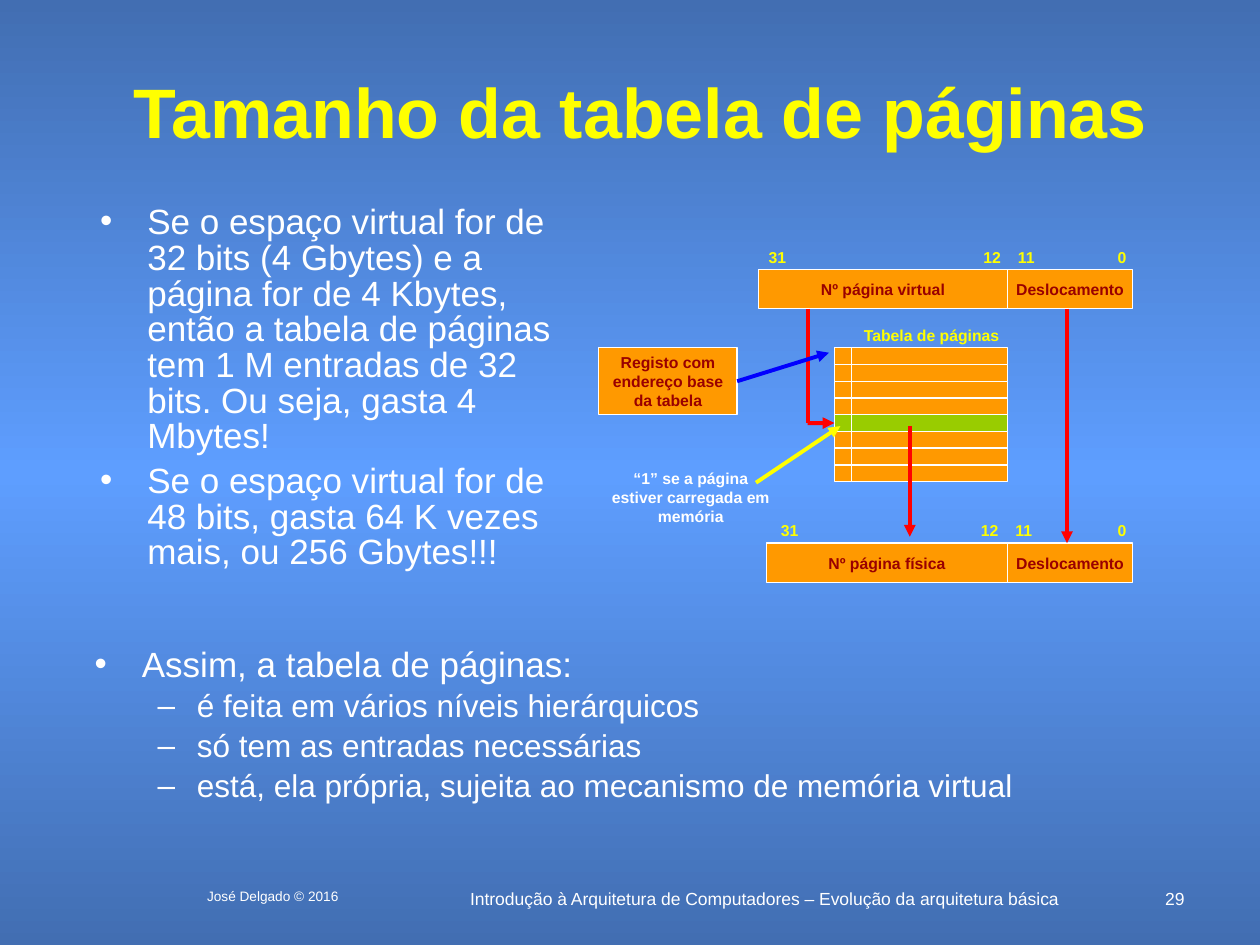
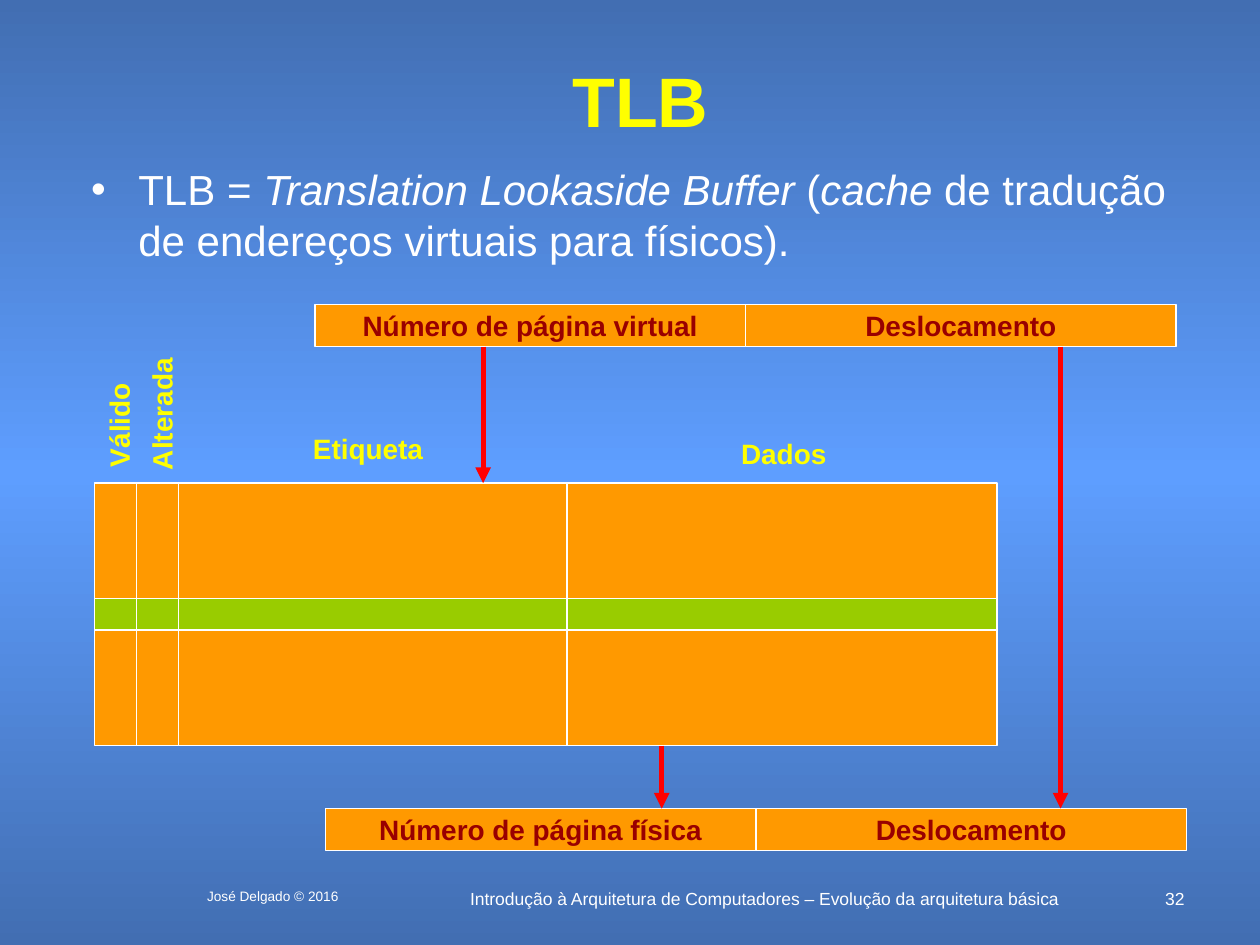
"""Build two slides on page tables and the TLB of a virtual memory system."""
from copy import deepcopy

from lxml import etree
from pptx import Presentation
from pptx.dml.color import RGBColor
from pptx.enum import shapes, text
from pptx.oxml import ns
from pptx.util import Cm, Pt

WHITE = RGBColor(0xFF, 0xFF, 0xFF)
YELLOW = RGBColor(0xFF, 0xFF, 0x00)
ORANGE = RGBColor(0xFF, 0x99, 0x00)
GREEN = RGBColor(0x99, 0xCC, 0x00)
RED = RGBColor(0xFF, 0x00, 0x00)
BLUE = RGBColor(0x00, 0x00, 0xFF)
DARK_RED = RGBColor(0x99, 0x00, 0x00)
EDGE_BLUE = RGBColor(0x42, 0x6E, 0xB2)
MIDDLE_BLUE = RGBColor(0x5E, 0x9E, 0xFF)
FONT = "Arial"
CENTER = text.PP_ALIGN.CENTER
COURSE = "Introdução à Arquitetura de Computadores – Evolução da arquitetura básica"
AUTHOR = "José Delgado © 2016"


def set_background(master):
    fill = master.background.fill
    fill.gradient()
    fill.gradient_angle = 270
    for stop, position in zip(fill.gradient_stops, (0, 1)):
        stop.color.rgb = EDGE_BLUE
        stop.position = position
    stop_list = master.element.find(".//" + ns.qn("a:gsLst"))
    stop_list.insert(1, deepcopy(stop_list[0]))
    middle = fill.gradient_stops[1]
    middle.color.rgb = MIDDLE_BLUE
    middle.position = 0.5


def format_paragraph(paragraph, size, color, bold=False, align=None):
    paragraph.alignment = align
    font = paragraph.font
    font.name, font.size, font.bold = FONT, Pt(size), bold
    font.color.rgb = color


def add_label(slide, content, left, top, width, height, size=9, color=YELLOW,
              bold=True, align=CENTER, wrap=False, rotation=0):
    box = slide.shapes.add_textbox(Cm(left), Cm(top), Cm(width), Cm(height))
    box.rotation = rotation
    box.text_frame.word_wrap = wrap
    paragraph = box.text_frame.paragraphs[0]
    paragraph.text = content
    format_paragraph(paragraph, size, color, bold, align)


def add_box(slide, left, top, width, height, content="", size=9, fill=ORANGE, wrap=False):
    box = slide.shapes.add_shape(shapes.MSO_SHAPE.RECTANGLE,
                                 Cm(left), Cm(top), Cm(width), Cm(height))
    box.shadow.inherit = False
    box.fill.solid()
    box.fill.fore_color.rgb = fill
    box.line.color.rgb = WHITE
    box.line.width = Pt(0.75)
    if content:
        frame = box.text_frame
        frame.word_wrap = wrap
        frame.vertical_anchor = text.MSO_ANCHOR.MIDDLE
        frame.text = content
        format_paragraph(frame.paragraphs[0], size, DARK_RED, True, CENTER)
    return box


def add_line(slide, start, end, color=RED, width=2.25, arrow=True):
    line = slide.shapes.add_connector(shapes.MSO_CONNECTOR.STRAIGHT,
                                      *(Cm(value) for value in start + end))
    line.line.color.rgb = color
    line.line.width = Pt(width)
    if arrow:
        etree.SubElement(line.line._get_or_add_ln(), ns.qn("a:tailEnd"), type="triangle")
    etree.SubElement(line._element.spPr, ns.qn("a:effectLst"))
    return line


def add_address(slide, left, top, page_width, offset_width, height, page, size):
    add_box(slide, left, top, page_width, height, page, size)
    add_box(slide, left + page_width, top, offset_width, height, "Deslocamento", size)


def add_bullet(paragraph, symbol, margin, hanging):
    properties = paragraph._p.get_or_add_pPr()
    properties.set("marL", str(Cm(margin)))
    properties.set("indent", str(-Cm(hanging)))
    color = etree.SubElement(properties, ns.qn("a:buClr"))
    etree.SubElement(color, ns.qn("a:srgbClr"), val=str(WHITE))
    etree.SubElement(properties, ns.qn("a:buFont"), typeface=FONT)
    etree.SubElement(properties, ns.qn("a:buChar"), char=symbol)


def add_bullets(slide, left, top, width, height, items, sizes=(20, 18), spacing=0.85):
    """Add a bulleted text box from (level, [(words, italic), ...]) items."""
    box = slide.shapes.add_textbox(Cm(left), Cm(top), Cm(width), Cm(height))
    frame = box.text_frame
    frame.word_wrap = True
    for index, (level, runs) in enumerate(items):
        paragraph = frame.add_paragraph() if index else frame.paragraphs[0]
        paragraph.level = level
        add_bullet(paragraph, *(("•", 0.95, 0.95), ("–", 2.06, 0.79))[level])
        paragraph.line_spacing = spacing
        if index:
            paragraph.space_before = Pt(sizes[level] / 4)
        format_paragraph(paragraph, sizes[level], WHITE)
        for words, italic in runs:
            run = paragraph.add_run()
            run.text = words
            if italic:
                run.font.italic = True


def add_titled_slide(presentation, title_text, title_top, number):
    slide = presentation.slides.add_slide(presentation.slide_layouts[5])
    title = slide.shapes.title
    title.left, title.top, title.width, title.height = Cm(1.9), Cm(title_top), Cm(22.02), Cm(1.9)
    frame = title.text_frame
    frame.text = title_text
    frame.auto_size = text.MSO_AUTO_SIZE.NONE
    frame.vertical_anchor = text.MSO_ANCHOR.MIDDLE
    format_paragraph(frame.paragraphs[0], 40, YELLOW, True, CENTER)
    footers = (
        (COURSE, 8.46, 13.89, 10, CENTER),
        (number, 23.06, 1.07, 10, text.PP_ALIGN.RIGHT),
        (AUTHOR, 3.38, 4.24, 7.8, CENTER),
    )
    for content, left, width, size, align in footers:
        add_label(slide, content, left, 17.78, width, 0.64, size, WHITE, False, align, wrap=True)
    return slide


def add_page_table(slide, left, top, height, rows, hit_row):
    """Draw the page table and return the flag cell of the row that is hit."""
    flag_width, entry_width = 0.34, 3.15
    row_height = height / rows
    for row in range(rows):
        fill = GREEN if row == hit_row else ORANGE
        row_top = top + row * row_height
        add_box(slide, left + flag_width, row_top, entry_width, row_height, fill=fill)
        flag = add_box(slide, left, row_top, flag_width, row_height, fill=fill)
        if row == hit_row:
            hit_flag = flag
    return hit_flag


def build_page_table_slide(presentation):
    slide = add_titled_slide(presentation, "Tamanho da tabela de páginas", 1.27, "29")
    add_bullets(slide, 1.77, 4.03, 10.16, 10.06, [
        (0, [("Se o espaço virtual for de 32 bits (4 Gbytes) e a página for de 4 Kbytes, "
              "então a tabela de páginas tem 1 M entradas de 32 bits. "
              "Ou seja, gasta 4 Mbytes!", False)]),
        (0, [("Se o espaço virtual for de 48 bits, gasta 64 K vezes mais, "
              "ou 256 Gbytes!!!", False)]),
    ])
    add_bullets(slide, 1.66, 12.95, 22.56, 3.71, [
        (0, [("Assim, a tabela de páginas:", False)]),
        (1, [("é feita em vários níveis hierárquicos", False)]),
        (1, [("só tem as entradas necessárias", False)]),
        (1, [("está, ela própria, sujeita ao mecanismo de memória virtual", False)]),
    ])

    add_address(slide, 15.29, 5.43, 5.02, 2.52, 0.79, "Nº página virtual", 9)
    add_address(slide, 15.45, 10.95, 4.86, 2.52, 0.79, "Nº página física", 9)
    bit_rows = ((4.87, (15.19, 19.5, 20.19, 22.28)), (10.37, (15.44, 19.45, 20.14, 22.28)))
    for top, lefts in bit_rows:
        for bit, left, width in zip(("31", "12", "11", "0"), lefts, (0.96, 1, 1, 0.66)):
            add_label(slide, bit, left, top, width, 0.64)

    add_label(slide, "Tabela de páginas", 16.94, 6.45, 3.68, 0.64)
    hit_flag = add_page_table(slide, 16.82, 7.01, 2.7, rows=8, hit_row=4)
    register = add_box(slide, 12.07, 7.01, 2.79, 1.35,
                       "Registo com endereço base da tabela", wrap=True)
    add_label(slide, "“1” se a página estiver carregada em memória",
              12.07, 9.32, 3.71, 1.4, color=WHITE, wrap=True)

    add_line(slide, (21.51, 6.22), (21.51, 10.95))
    add_line(slide, (16.28, 6.22), (16.28, 8.53), arrow=False)
    add_line(slide, (16.28, 8.53), (16.82, 8.53)).end_connect(hit_flag, 1)
    add_line(slide, (18.34, 8.59), (18.34, 10.82))
    add_line(slide, (14.86, 7.68), (16.71, 7.11), BLUE).begin_connect(register, 3)
    add_line(slide, (15.24, 9.73), (16.94, 8.59), YELLOW)


def build_tlb_slide(presentation):
    slide = add_titled_slide(presentation, "TLB", 1.06, "32")
    add_bullets(slide, 1.59, 3.18, 22.23, 2.74, [
        (0, [("TLB = ", False), ("Translation Lookaside Buffer", True), (" (", False),
             ("cache", True), (" de tradução de endereços virtuais para físicos).", False)]),
    ], sizes=(24,), spacing=1.0)

    table_top, table_bottom = 9.74, 15.03
    add_box(slide, 1.9, table_top, 18.2, table_bottom - table_top)
    add_box(slide, 1.9, 12.06, 18.2, 0.64, fill=GREEN)
    for x in (2.75, 3.6, 11.43):
        add_line(slide, (x, table_top), (x, table_bottom), WHITE, 0.75, arrow=False)
    add_label(slide, "Etiqueta", 5.67, 8.57, 3.5, 0.94, 16)
    add_label(slide, "Dados", 14.05, 8.67, 3.5, 0.94, 16)
    add_label(slide, "Válido", 0.81, 8.1, 3.18, 0.94, 16, wrap=True, rotation=270)
    add_label(slide, "Alterada", 1.67, 7.88, 3.18, 0.94, 16, wrap=True, rotation=270)

    virtual_bottom, physical_top = 6.99, 16.3
    add_address(slide, 6.35, 6.14, 8.68, 8.68, 0.85, "Número de página virtual", 16)
    add_address(slide, 6.56, physical_top, 8.68, 8.68, 0.85, "Número de página física", 16)
    arrows = ((13.34, table_bottom, physical_top), (21.38, virtual_bottom, physical_top),
              (9.74, virtual_bottom, table_top))
    for x, top, bottom in arrows:
        add_line(slide, (x, top), (x, bottom), width=3)


def main():
    presentation = Presentation()
    presentation.slide_width, presentation.slide_height = Cm(25.4), Cm(19.05)
    set_background(presentation.slide_master)
    build_page_table_slide(presentation)
    build_tlb_slide(presentation)
    presentation.save("out.pptx")


if __name__ == "__main__":
    main()
